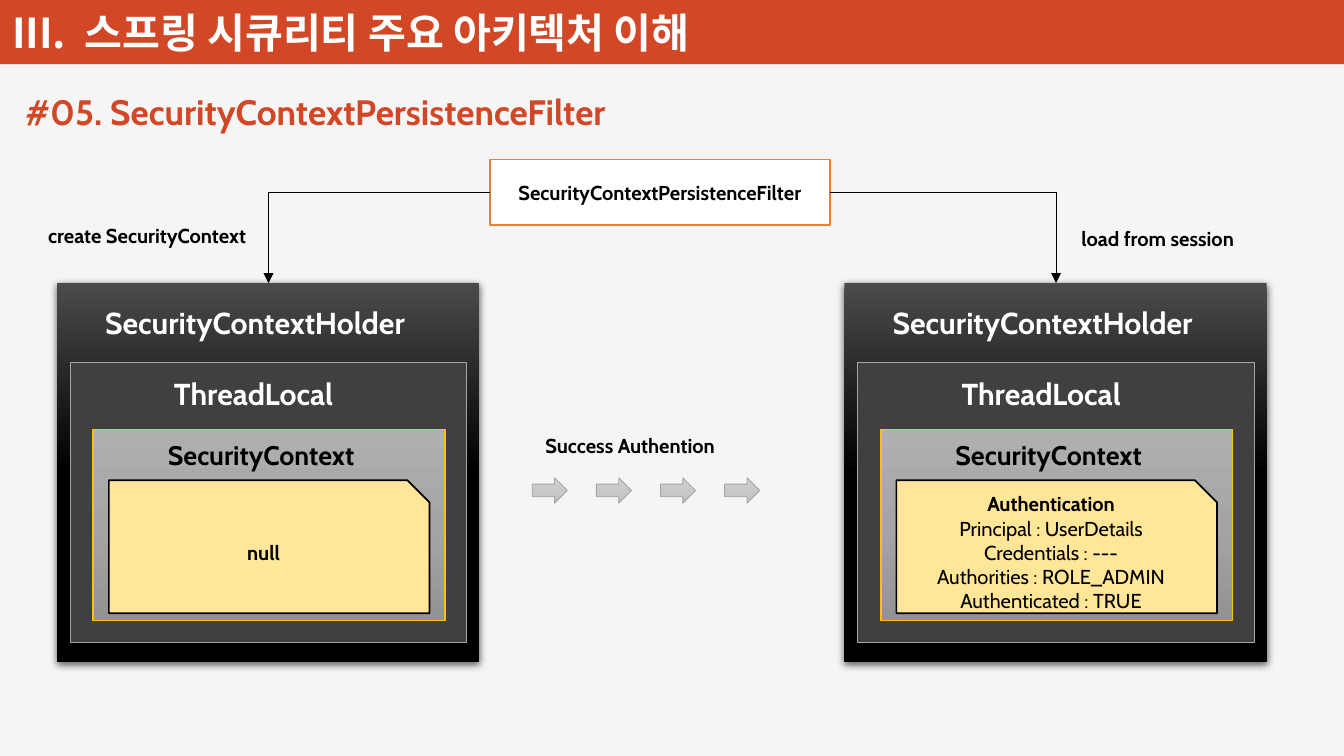
"""Build the SecurityContextPersistenceFilter architecture slide."""
from copy import deepcopy

from lxml import etree
from pptx import Presentation
from pptx.dml.color import RGBColor
from pptx.enum.shapes import MSO_CONNECTOR as CONN, MSO_SHAPE as SHAPE
from pptx.enum.text import MSO_ANCHOR as ANCHOR, MSO_AUTO_SIZE as FIT, PP_ALIGN as ALIGN
from pptx.oxml import parse_xml
from pptx.oxml.ns import nsdecls, qn
from pptx.util import Inches, Pt

BLACK = RGBColor(0x00, 0x00, 0x00)
WHITE = RGBColor(0xFF, 0xFF, 0xFF)
PAPER = RGBColor(0xF5, 0xF5, 0xF5)
RED = RGBColor(0xD2, 0x47, 0x26)
ORANGE = RGBColor(0xED, 0x7D, 0x31)
GOLD = RGBColor(0xFF, 0xC0, 0x00)
CREAM = RGBColor(0xFF, 0xE6, 0x99)
CHARCOAL = RGBColor(0x40, 0x40, 0x40)
GREY = RGBColor(0xA5, 0xA5, 0xA5)
HOLDER_FADE = [RGBColor(0x4B, 0x4B, 0x4B), BLACK, BLACK]
CONTEXT_FADE = [RGBColor(0xAF, 0xAF, 0xAF), GREY, RGBColor(0x93, 0x93, 0x93)]
ARROW_FADE = [RGBColor(0xD2, 0xD2, 0xD2), RGBColor(0xC8, 0xC8, 0xC8), RGBColor(0xC0, 0xC0, 0xC0)]
FONT = "Cabin"
TITLE_FONT = "Noto Sans CJK KR"


def add_box(shapes, kind, x, y, w, h, fill, line=None, width=1, text=""):
    """Add a preset shape; a list as fill gives a vertical gradient."""
    sp = shapes.add_shape(kind, Inches(x), Inches(y), Inches(w), Inches(h))
    sp.shadow.inherit = False
    if isinstance(fill, list):
        sp.fill.gradient()
        sp.fill.gradient_angle = 270
        stops = sp._element.spPr.find(qn("a:gradFill")).find(qn("a:gsLst"))
        stops.insert(1, deepcopy(stops[0]))
        for stop, color, position in zip(sp.fill.gradient_stops, fill, (0, 0.5, 1)):
            stop.color.rgb = color
            stop.position = position
    else:
        sp.fill.solid()
        sp.fill.fore_color.rgb = fill
    if line is None:
        sp.line.fill.background()
    else:
        sp.line.color.rgb = line
        sp.line.width = Pt(width)
    if text:
        tf = sp.text_frame
        tf.text = text
        tf.vertical_anchor = ANCHOR.MIDDLE
        for i, p in enumerate(tf.paragraphs):
            p.alignment = ALIGN.CENTER
            p.font.name, p.font.size, p.font.bold = FONT, Pt(12), i == 0
            p.font.color.rgb = BLACK
    return sp


def add_label(shapes, x, y, w, h, text, size=12, color=BLACK):
    """Add a bold left-aligned text box."""
    tf = shapes.add_textbox(Inches(x), Inches(y), Inches(w), Inches(h)).text_frame
    tf.word_wrap = True
    tf.text = text
    font = tf.paragraphs[0].runs[0].font
    font.name, font.size, font.bold = FONT, Pt(size), True
    font.color.rgb = color


prs = Presentation()
prs.slide_width, prs.slide_height = Inches(11.11), Inches(6.25)
s = prs.slides.add_slide(prs.slide_layouts[5])
s.background.fill.solid()
s.background.fill.fore_color.rgb = PAPER

band = add_box(s.shapes, SHAPE.RECTANGLE, 0, 0, 11.11, 0.53, RED)
s.shapes._spTree.insert(2, band._element)

title = s.shapes.title
title.left, title.top = Inches(0.01), Inches(-0.1)
title.width, title.height = Inches(6.72), Inches(0.61)
tf = title.text_frame
tf.auto_size = FIT.NONE
tf.vertical_anchor = ANCHOR.BOTTOM
tf.margin_left = tf.margin_right = Inches(0.09)
tf.margin_top = tf.margin_bottom = Inches(0.04)
p = tf.paragraphs[0]
p.alignment = ALIGN.LEFT
for text in ("III.", " ", "스프링 시큐리티 주요 아키텍처 이해"):
    r = p.add_run()
    r.text = text
    r.font.name, r.font.size, r.font.bold = TITLE_FONT, Pt(24.5), True
    r.font.color.rgb = WHITE
    etree.SubElement(r.font._element, qn("a:ea"), typeface=TITLE_FONT)
p.runs[1].font._element.set("spc", "540")

add_label(s.shapes, 0.11, 0.7, 5.35, 0.45, "#05. SecurityContextPersistenceFilter", 21, RED)
add_box(s.shapes, SHAPE.RECTANGLE, 4.05, 1.32, 2.81, 0.54, WHITE, ORANGE,
        text="SecurityContextPersistenceFilter")

authentication = "\n".join(["Authentication", "Principal : UserDetails", "Credentials : ---",
                            "Authorities : ROLE_ADMIN", "Authenticated : TRUE"])
for x, content in ((0.47, "null"), (6.98, authentication)):
    card = s.shapes.add_group_shape().shapes
    holder = add_box(card, SHAPE.RECTANGLE, x, 2.34, 3.49, 3.13, HOLDER_FADE)
    holder._element.spPr.find(qn("a:effectLst")).append(parse_xml(
        f'<a:outerShdw {nsdecls("a")} blurRad="{Pt(4.5)}" dist="{Pt(1.5)}" dir="5400000" '
        f'algn="ctr" rotWithShape="0"><a:srgbClr val="{BLACK}"><a:alpha val="63000"/>'
        '</a:srgbClr></a:outerShdw>'))
    add_box(card, SHAPE.RECTANGLE, x + 0.11, 3, 3.28, 2.31, CHARCOAL, GREY, 0.5)
    add_box(card, SHAPE.RECTANGLE, x + 0.3, 3.55, 2.91, 1.58, CONTEXT_FADE, GOLD)
    add_box(card, SHAPE.SNIP_1_RECTANGLE, x + 0.43, 3.97, 2.65, 1.1, CREAM, BLACK, text=content)
    add_label(card, x + 0.82, 3.58, 2, 0.37, "SecurityContext", 16)
    add_label(card, x + 0.3, 2.47, 2.91, 0.4, "SecurityContextHolder", 18, WHITE)
    add_label(card, x + 0.87, 3.05, 1.64, 0.4, "ThreadLocal", 18, WHITE)

for start, end in ((4.05, 2.22), (6.86, 8.73)):
    link = s.shapes.add_connector(CONN.ELBOW, Inches(start), Inches(1.59), Inches(end), Inches(2.34))
    link.line.color.rgb = BLACK
    link.line.width = Pt(0.5)
    spPr = link._element.spPr
    spPr.find(qn("a:prstGeom")).set("prst", "bentConnector2")
    etree.SubElement(spPr.find(qn("a:ln")), qn("a:tailEnd"), type="triangle")
    etree.SubElement(spPr, qn("a:effectLst"))

add_label(s.shapes, 0.3, 1.8, 1.99, 0.3, "create SecurityContext")
add_label(s.shapes, 8.84, 1.82, 1.59, 0.3, "load from session")

for i in range(4):
    add_box(s.shapes, SHAPE.RIGHT_ARROW, 4.4 + i * 0.53, 3.95, 0.29, 0.21, ARROW_FADE, GREY, 0.5)
add_label(s.shapes, 4.41, 3.53, 1.74, 0.3, "Success Authention")

prs.save("out.pptx")
